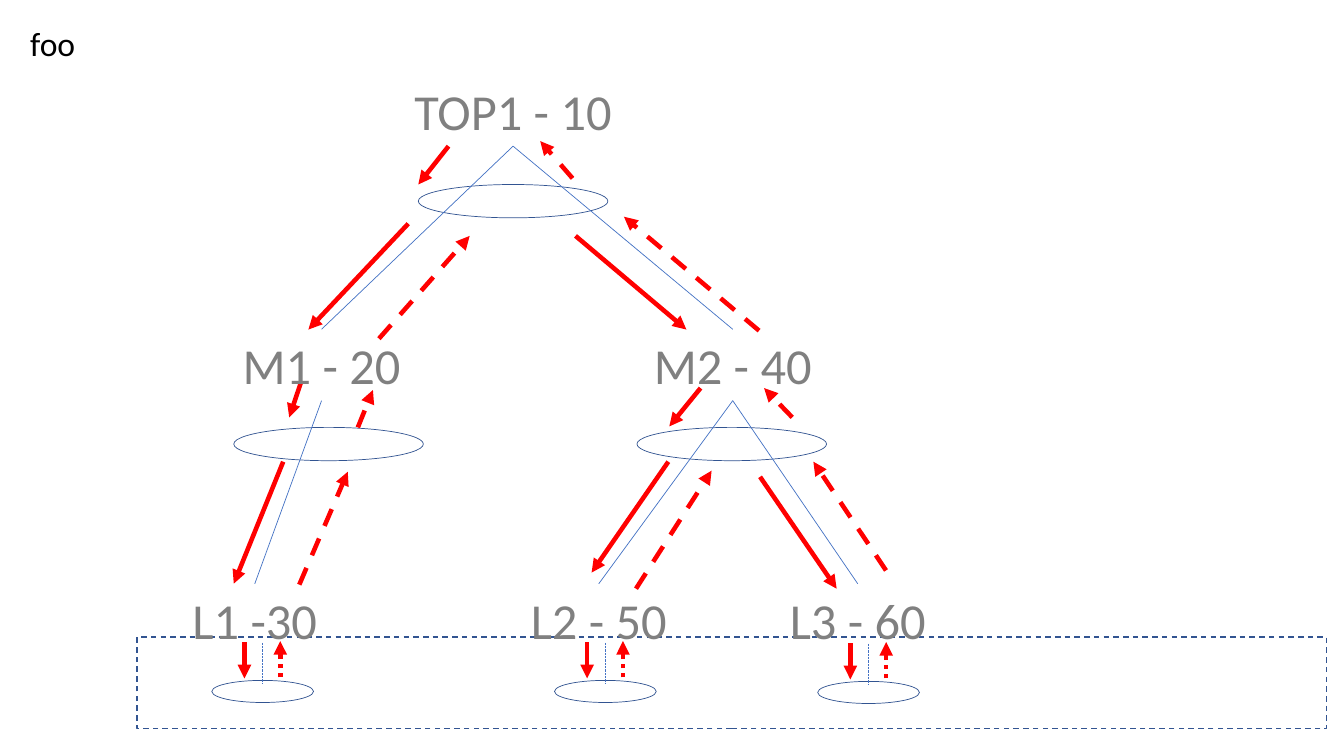
from dataclasses import dataclass

from lxml import etree
from pptx import Presentation
from pptx.dml.color import RGBColor
from pptx.enum.dml import MSO_LINE
from pptx.enum.shapes import MSO_CONNECTOR, MSO_SHAPE
from pptx.enum.text import MSO_ANCHOR, MSO_AUTO_SIZE, PP_ALIGN
from pptx.oxml.ns import qn
from pptx.util import Pt

STRAIGHT = MSO_CONNECTOR.STRAIGHT
OVAL, RECTANGLE = MSO_SHAPE.OVAL, MSO_SHAPE.RECTANGLE
SOLID, DASH, DOT = MSO_LINE.SOLID, MSO_LINE.DASH, MSO_LINE.ROUND_DOT
TOP, NO_AUTOFIT = MSO_ANCHOR.TOP, MSO_AUTO_SIZE.NONE
LEFT, CENTER = PP_ALIGN.LEFT, PP_ALIGN.CENTER
TITLE_ONLY = 5

Point = tuple[float, float]


@dataclass(frozen=True)
class Theme:
    font: str = "Calibri"
    title_size: float = 24
    node_size: float = 36
    title: RGBColor = RGBColor(0x00, 0x00, 0x00)
    node: RGBColor = RGBColor(0x80, 0x80, 0x80)
    outline: RGBColor = RGBColor(0x32, 0x54, 0x91)
    edge: RGBColor = RGBColor(0x44, 0x72, 0xC4)
    flow: RGBColor = RGBColor(0xFF, 0x00, 0x00)
    thin: float = 0.5
    frame: float = 1
    thick: float = 3.25


@dataclass(frozen=True)
class Node:
    label: str
    center: float
    level: int
    width: float

    @property
    def top(self) -> float:
        return FIRST_ROW + self.level * ROW_PITCH

    @property
    def bottom(self) -> float:
        return self.top + NODE_HEIGHT


@dataclass(frozen=True)
class Flow:
    start: Point
    end: Point
    dash: MSO_LINE = SOLID


@dataclass(frozen=True)
class Probe:
    """The small loop beneath a leaf node."""
    center: float
    top: float


THEME = Theme()
FIRST_ROW, ROW_PITCH, NODE_HEIGHT = 53.4, 181.8, 51

TOP1 = Node("TOP1 - 10", 366.5, 0, 158.4)
M1 = Node("M1 - 20", 229.7, 1, 135.4)
M2 = Node("M2 - 40", 523.4, 1, 135.4)
L1 = Node("L1 -30", 182, 2, 114.5)
L2 = Node("L2 - 50", 427.7, 2, 114.5)
L3 = Node("L3 - 60", 612.7, 2, 114.5)
NODES = [L1, L2, L3, M1, M2, TOP1]
EDGES = [(TOP1, M1), (M1, L1), (TOP1, M2), (M2, L2), (M2, L3)]

LOOPS = [(298.8, 131.8), (167, 305.3), (455, 305.3)]
LOOP_WIDTH, LOOP_HEIGHT = 135.4, 23.8

FLOWS = [
    Flow((320.4, 104.4), (298.8, 131.8)),
    Flow((291.6, 159.8), (220.3, 235.4)),
    Flow((215.3, 272.2), (206.6, 298.1)),
    Flow((202.3, 329.8), (167, 416.9)),
    Flow((411.1, 168.5), (490.3, 235.4)),
    Flow((477.4, 329.8), (422.6, 409)),
    Flow((500.4, 277.2), (478.1, 304.6)),
    Flow((542.9, 340.6), (597.6, 420.5)),
    Flow((213.8, 417.6), (248.4, 337), DASH),
    Flow((270.7, 241.9), (335.5, 168.5), DASH),
    Flow((454.3, 420.5), (508.3, 336.2), DASH),
    Flow((632.9, 407.5), (581, 329.8), DASH),
    Flow((255.6, 305.3), (266.4, 278.6), DASH),
    Flow((565.9, 298.1), (545.8, 277.2), DASH),
    Flow((542.2, 236.2), (445.7, 154.8), DASH),
    Flow((409, 127.4), (385.9, 100.8), DASH),
]

PROBES = [Probe(187.6, 458.2), Probe(432.4, 458.2), Probe(620.4, 458.9)]
PROBE_WIDTH, PROBE_HEIGHT = 72.7, 15.8


def draw_line(shapes, start: Point, end: Point, color: RGBColor,
              width: float, dash: MSO_LINE = SOLID):
    connector = shapes.add_connector(STRAIGHT, *map(Pt, start + end))
    connector.line.color.rgb = color
    connector.line.width = Pt(width)
    connector.line.dash_style = dash
    etree.SubElement(connector.element.spPr, qn("a:effectLst"))
    return connector


def draw_flow(shapes, flow: Flow) -> None:
    arrow = draw_line(shapes, flow.start, flow.end, THEME.flow, THEME.thick, flow.dash)
    outline = arrow.element.spPr.find(qn("a:ln"))
    etree.SubElement(outline, qn("a:tailEnd"), type="triangle")


def draw_outline(shapes, kind: MSO_SHAPE, left: float, top: float, width: float,
                 height: float, weight: float, dash: MSO_LINE = SOLID) -> None:
    shape = shapes.add_shape(kind, Pt(left), Pt(top), Pt(width), Pt(height))
    shape.shadow.inherit = False
    shape.fill.background()
    shape.line.color.rgb = THEME.outline
    shape.line.width = Pt(weight)
    shape.line.dash_style = dash


def draw_probe(shapes, probe: Probe) -> None:
    center, top = probe.center, probe.top
    draw_outline(shapes, OVAL, center - PROBE_WIDTH / 2, top + 27.8,
                 PROBE_WIDTH, PROBE_HEIGHT, THEME.thin)
    draw_line(shapes, (center, top + 1), (center, top + 30), THEME.edge, THEME.thin, DOT)
    draw_flow(shapes, Flow((center - 13, top + 0.4), (center - 13, top + 26.4)))
    draw_flow(shapes, Flow((center + 12.6, top + 25.6), (center + 12.6, top - 0.3), DOT))


def write_text(shape, text: str, size: float, color: RGBColor, align: PP_ALIGN) -> None:
    frame = shape.text_frame
    frame.word_wrap = True
    frame.auto_size = NO_AUTOFIT
    frame.vertical_anchor = TOP
    paragraph = frame.paragraphs[0]
    paragraph.alignment = align
    paragraph.line_spacing = 1.0
    paragraph.space_before = Pt(0)
    run = paragraph.add_run()
    run.text = text
    run.font.name = THEME.font
    run.font.size = Pt(size)
    run.font.color.rgb = color


def draw_node(shapes, node: Node) -> None:
    label = shapes.add_textbox(Pt(node.center - node.width / 2), Pt(node.top),
                               Pt(node.width), Pt(NODE_HEIGHT))
    write_text(label, node.label, THEME.node_size, THEME.node, CENTER)


def main() -> None:
    deck = Presentation()
    deck.slide_width, deck.slide_height = Pt(960), Pt(540)
    slide = deck.slides.add_slide(deck.slide_layouts[TITLE_ONLY])
    shapes = slide.shapes

    title = shapes.title
    title.left, title.top, title.width, title.height = map(Pt, (14.4, 13, 318.2, 36))
    write_text(title, "foo", THEME.title_size, THEME.title, LEFT)

    for left, top in LOOPS:
        draw_outline(shapes, OVAL, left, top, LOOP_WIDTH, LOOP_HEIGHT, THEME.thin)
    for flow in FLOWS:
        draw_flow(shapes, flow)

    leaf_zone = shapes.add_group_shape().shapes
    for probe in PROBES:
        draw_probe(leaf_zone, probe)
    draw_outline(leaf_zone, RECTANGLE, 98, 455, 849.6, 65.5, THEME.frame, DASH)

    for node in NODES:
        draw_node(shapes, node)
    for parent, child in EDGES:
        draw_line(shapes, (parent.center, parent.bottom), (child.center, child.top),
                  THEME.edge, THEME.thin)

    deck.save("out.pptx")


if __name__ == "__main__":
    main()
